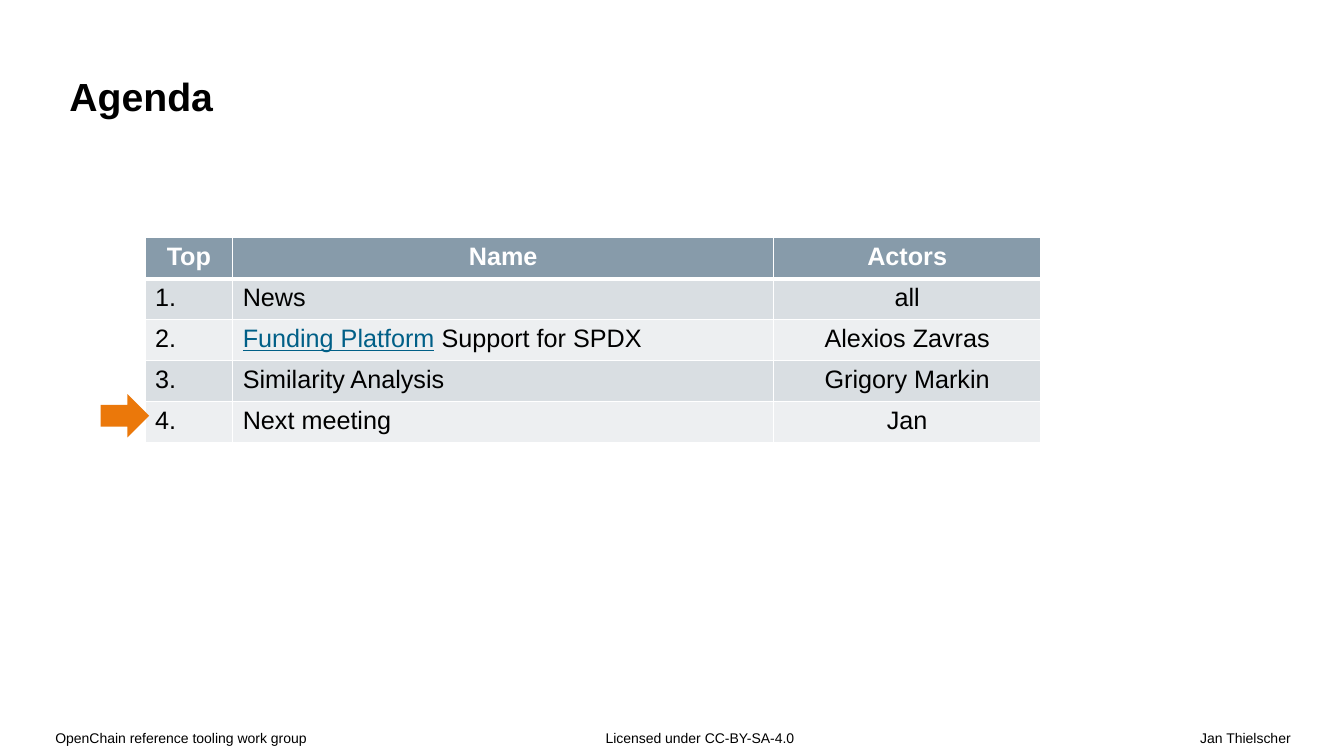
from dataclasses import dataclass

from lxml.etree import SubElement
from pptx import Presentation
from pptx.dml.color import RGBColor as Rgb
from pptx.enum.shapes import MSO_SHAPE as Preset
from pptx.enum.text import MSO_ANCHOR as Anchor, PP_ALIGN as Align
from pptx.oxml.ns import qn
from pptx.util import Inches, Pt


@dataclass(frozen=True)
class Theme:
    """Colours, font and type sizes of the slide."""
    font: str = "Arial"
    ink: str = "000000"
    white: str = "FFFFFF"
    header: str = "879BAA"
    bands: tuple = ("D9DEE2", "EDEFF1")
    link: str = "005F87"
    accent: str = "EB780A"
    title_size: int = 28
    table_size: int = 18
    footer_size: int = 10


class AgendaSlide:
    """Draws the elements of one slide in one theme."""

    def __init__(self, slide, theme):
        """Keep the slide and its theme."""
        self.slide = slide
        self.theme = theme

    def style(self, run, size, color, bold=False, underline=False):
        """Format one run."""
        font = run.font
        font.name, font.size = self.theme.font, Pt(size)
        font.bold, font.underline = bold, underline
        font.color.rgb = Rgb.from_string(color)

    def text(self, words, box, insets, size, bold=False, align=Align.LEFT,
             anchor=Anchor.TOP, spacing=1.0):
        """Add a wrapped line of text."""
        frame = self.slide.shapes.add_textbox(*map(Inches, box)).text_frame
        frame.word_wrap = True
        frame.vertical_anchor = anchor
        (frame.margin_left, frame.margin_top,
         frame.margin_right, frame.margin_bottom) = map(Inches, insets)
        frame.text = words
        paragraph = frame.paragraphs[0]
        paragraph.alignment = align
        paragraph.line_spacing = spacing
        self.style(paragraph.runs[0], size, self.theme.ink, bold)

    def borders(self, cell, top, bottom):
        """Draw white borders around a cell."""
        properties = cell._tc.get_or_add_tcPr()
        for side, width in (("L", 1), ("R", 1), ("T", top), ("B", bottom)):
            line = SubElement(properties, qn(f"a:ln{side}"), w=str(Pt(width)))
            fill = SubElement(line, qn("a:solidFill"))
            SubElement(fill, qn("a:srgbClr"), val=self.theme.white)

    def table(self, rows, left, top, widths, height, linked):
        """Add a banded table with a header row and a link-styled phrase."""
        theme = self.theme
        table = self.slide.shapes.add_table(
            len(rows), len(widths), Inches(left), Inches(top),
            Inches(sum(widths)), Inches(height)).table
        for column, width in zip(table.columns, widths):
            column.width = Inches(width)
        for r, row in enumerate(rows):
            is_header = r == 0
            fill = theme.header if is_header else theme.bands[(r - 1) % 2]
            color = theme.white if is_header else theme.ink
            for c, words in enumerate(row):
                cell = table.cell(r, c)
                self.borders(cell, 3 if r == 1 else 1, 3 if is_header else 1)
                cell.fill.solid()
                cell.fill.fore_color.rgb = Rgb.from_string(fill)
                paragraph = cell.text_frame.paragraphs[0]
                centred = is_header or c == len(widths) - 1
                paragraph.alignment = Align.CENTER if centred else Align.LEFT
                if words.startswith(linked):
                    phrase = paragraph.add_run()
                    phrase.text = linked
                    self.style(phrase, theme.table_size, theme.link, underline=True)
                    words = words[len(linked):]
                rest = paragraph.add_run()
                rest.text = words
                self.style(rest, theme.table_size, color, bold=is_header)

    def arrow(self, box):
        """Add the marker that points at the current topic."""
        marker = self.slide.shapes.add_shape(Preset.RIGHT_ARROW, *map(Inches, box))
        marker.shadow.inherit = False
        marker.fill.solid()
        marker.fill.fore_color.rgb = Rgb.from_string(self.theme.accent)
        marker.line.fill.background()


def main():
    """Build the agenda slide and save it."""
    deck = Presentation()
    deck.slide_width, deck.slide_height = Inches(13.34), Inches(7.5)
    theme = Theme()
    agenda = AgendaSlide(deck.slides.add_slide(deck.slide_layouts[6]), theme)

    footers = [
        ("OpenChain reference tooling work group", 0.31, 3.4, 0.24, 0, Align.LEFT),
        ("Licensed under CC-BY-SA-4.0", 5.32, 3.01, 0.69, 0, Align.LEFT),
        ("Jan Thielscher", 4.14, 9.2, 0, 0.53, Align.RIGHT),
    ]
    for words, left, width, inset_left, inset_right, align in footers:
        agenda.text(words, (left, 7.22, width, 0.28),
                    (inset_left, 0, inset_right, 0.13), theme.footer_size,
                    align=align, spacing=1.1)

    agenda.text("Agenda", (0, 0, 13.34, 1.39), (0.69, 0.43, 2.32, 0.37),
                theme.title_size, bold=True, anchor=Anchor.BOTTOM)

    topics = [
        ("Top", "Name", "Actors"),
        ("1.", "News", "all"),
        ("2.", "Funding Platform Support for SPDX", "Alexios Zavras"),
        ("3.", "Similarity Analysis", "Grigory Markin"),
        ("4.", "Next meeting", "Jan"),
    ]
    agenda.table(topics, 1.44, 2.36, (0.87, 5.37, 2.65), 2.03, "Funding Platform")
    agenda.arrow((1, 3.91, 0.48, 0.43))
    deck.save("out.pptx")


if __name__ == "__main__":
    main()
